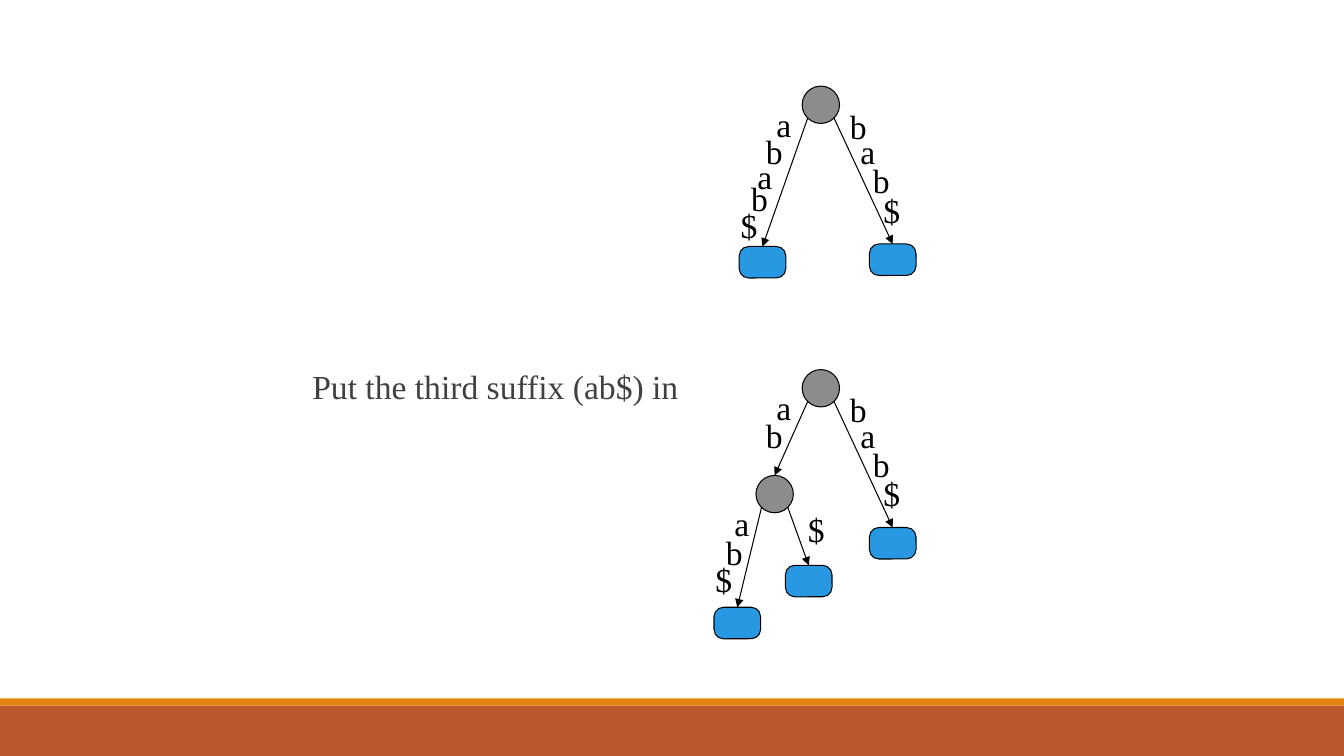
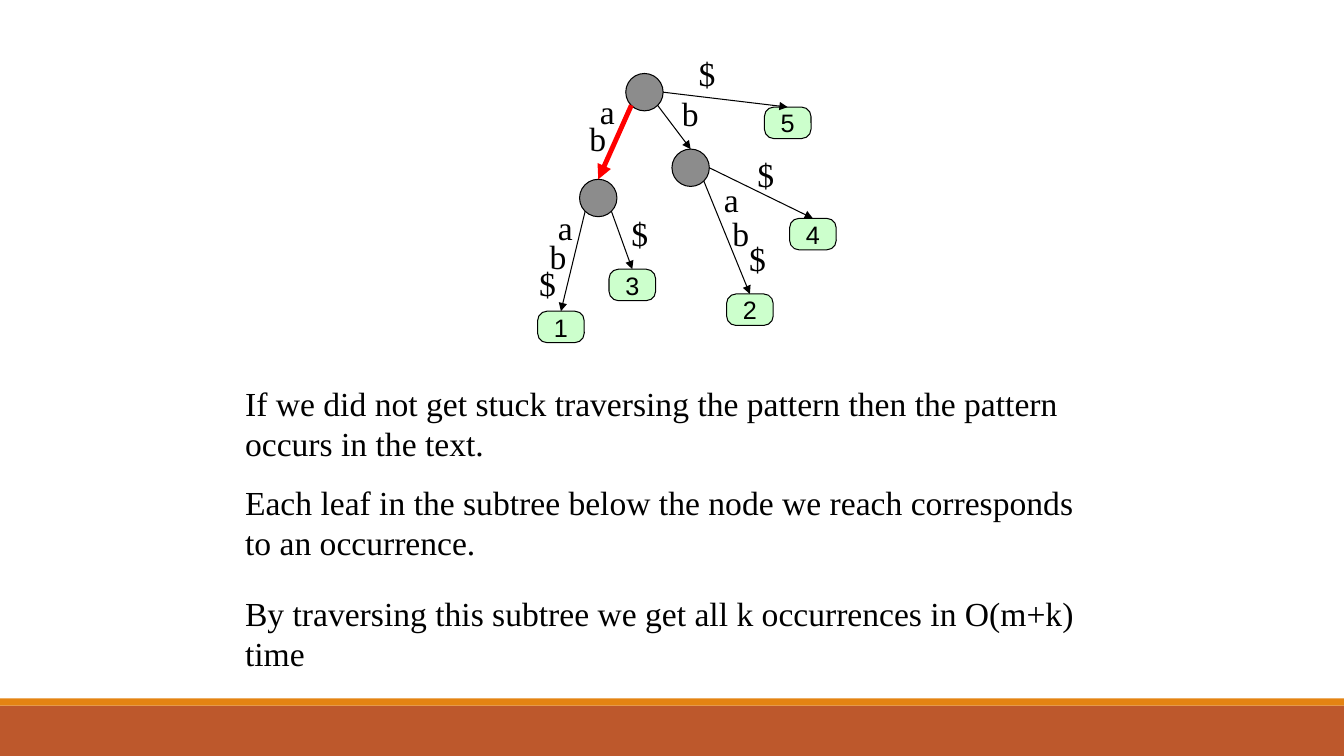
from dataclasses import dataclass

from lxml import etree
from pptx import Presentation
from pptx.dml.color import RGBColor
from pptx.enum.shapes import MSO_CONNECTOR, MSO_SHAPE
from pptx.enum.text import MSO_ANCHOR, PP_ALIGN
from pptx.oxml.ns import qn
from pptx.util import Inches, Pt

RECT, OVAL, ROUND = MSO_SHAPE.RECTANGLE, MSO_SHAPE.OVAL, MSO_SHAPE.ROUNDED_RECTANGLE
STRAIGHT = MSO_CONNECTOR.STRAIGHT
CENTER, MIDDLE = PP_ALIGN.CENTER, MSO_ANCHOR.MIDDLE

COLS, ROWS = 160, 90
NODE = 4.45
LEAF_W, LEAF_H = 5.55, 3.75
LETTER_W, LETTER_H = 5, 6
EXITS = {"left": (0.15, 0.85), "right": (0.85, 0.85), "side": (1, 0.5)}

BLACK, GREY, NODE_GREY = "000000", "404040", "8C8C8C"
BLUE, GREEN, RED = "2998E3", "CCFFCC", "FF0000"
BAND, STRIPE = "BD582C", "E48312"
SERIF, SANS = "Times New Roman", "Arial"


@dataclass
class Branch:
    """An edge with its letters and the node or leaf it leads to, measured from the root."""
    at: tuple
    leaves_by: str
    letters: list
    label: str = ""
    kids: tuple = ()
    color: str = BLACK
    width: float = 0.75


def grid(*cells):
    """Turn grid cells of a twelfth of an inch into lengths."""
    return [Inches(c / 12) for c in cells]


def rgb(color):
    """Turn a hex string into a colour."""
    return RGBColor.from_string(color)


def add_run(p, text, size, font, color):
    """Add one styled run to a paragraph."""
    r = p.add_run()
    r.text = text
    r.font.size, r.font.name = Pt(size), font
    r.font.color.rgb = rgb(color)


def add_text(s, text, x, y, w, h, color=BLACK):
    """Add a wrapped serif text box."""
    tf = s.shapes.add_textbox(*grid(x, y, w, h)).text_frame
    tf.word_wrap = True
    p = tf.paragraphs[0]
    p.line_spacing = Pt(28.8)
    add_run(p, text, 24, SERIF, color)


def add_box(s, kind, x, y, w, h, fill, line=None):
    """Add a flat filled shape, outlined if a line colour is given."""
    sp = s.shapes.add_shape(kind, *grid(x, y, w, h))
    sp.shadow.inherit = False
    sp.fill.solid()
    sp.fill.fore_color.rgb = rgb(fill)
    if line:
        sp.line.color.rgb = rgb(line)
        sp.line.width = Pt(0.75)
    else:
        sp.line.fill.background()
    return sp


def add_leaf(s, x, y, fill, label):
    """Add a rounded leaf with an optional number."""
    sp = add_box(s, ROUND, x, y, LEAF_W, LEAF_H, fill, BLACK)
    sp.adjustments[0] = 0.3
    if label:
        tf = sp.text_frame
        tf.word_wrap, tf.vertical_anchor = False, MIDDLE
        p = tf.paragraphs[0]
        p.alignment = CENTER
        add_run(p, label, 18, SANS, BLACK)
    return sp


def add_arrow(s, x, y, target, color, width):
    """Add an arrow from a point to the top of a shape."""
    start = grid(x, y)
    cxn = s.shapes.add_connector(STRAIGHT, *start, *start)
    cxn.end_connect(target, 0)
    cxn.line.color.rgb = rgb(color)
    cxn.line.width = Pt(width)
    etree.SubElement(cxn.line._get_or_add_ln(), qn("a:tailEnd"), type="triangle")
    etree.SubElement(cxn._element.spPr, qn("a:effectLst"))


def add_branches(s, root, parent, branches, leaf_fill):
    """Draw the branches below a parent node, level by level."""
    rx, ry = root
    for b in branches:
        x, y = rx + b.at[0], ry + b.at[1]
        if b.kids:
            target = add_box(s, OVAL, x, y, NODE, NODE, NODE_GREY, BLACK)
        else:
            target = add_leaf(s, x, y, leaf_fill, b.label)
        fx, fy = EXITS[b.leaves_by]
        add_arrow(s, parent[0] + fx * NODE, parent[1] + fy * NODE, target, b.color, b.width)
        for letter, dx, dy in b.letters:
            add_text(s, letter, rx + dx, ry + dy, LETTER_W, LETTER_H)
        add_branches(s, root, (x, y), b.kids, leaf_fill)


def add_tree(s, root, branches, leaf_fill):
    """Draw a suffix tree from its root node."""
    add_box(s, OVAL, *root, NODE, NODE, NODE_GREY, BLACK)
    add_branches(s, root, root, branches, leaf_fill)


def ab_branch(first="", third="", color=BLACK, width=0.75):
    """Return the branch ab, which splits into ab$ and $."""
    kids = (
        Branch((-10.5, 28.3), "left",
               [("a", -9.25, 15.25), ("b", -10.25, 18.75), ("$", -11.5, 22)], first),
        Branch((-2, 23.3), "right", [("$", -0.5, 16)], third),
    )
    return Branch((-5.5, 12.6), "left", [("a", -4.25, 1.5), ("b", -5.5, 4.75)],
                  kids=kids, color=color, width=width)


def b_branch():
    """Return the branch b, which splits into ab$ and $."""
    kids = (
        Branch((12, 26.25), "right",
               [("a", 10.5, 12), ("b", 11.5, 16), ("$", 13.5, 19)], "2"),
        Branch((19.5, 17.25), "side", [("$", 14.5, 9)], "4"),
    )
    return Branch((5.5, 9), "right", [("b", 5.5, 1.75)], kids=kids)


def add_slide(prs):
    """Add a blank slide with the footer bands."""
    s = prs.slides.add_slide(prs.slide_layouts[6])
    add_box(s, RECT, 0, 84, COLS, 6, BAND)
    add_box(s, RECT, 0, 83.15, COLS, 0.85, STRIPE)
    return s


def build_insertion(prs):
    """Show the tree before and after the third suffix goes in."""
    s = add_slide(prs)
    add_text(s, "Put the third suffix (ab$) in", 36, 43, 46, 6, GREY)
    abab = Branch((-7.5, 19.1), "left",
                  [("a", -4.25, 1.5), ("b", -5.5, 4.75), ("a", -6.5, 7.75),
                   ("b", -7.25, 10.4), ("$", -8.5, 13.5)])
    bab = Branch((8, 18.8), "right",
                 [("b", 4.5, 1.75), ("a", 5.75, 4.75), ("b", 7.25, 8.25), ("$", 8.5, 11.75)])
    add_tree(s, (95.5, 10.25), (abab, bab), BLUE)
    add_tree(s, (95.5, 44), (ab_branch(), bab), BLUE)


def build_search(prs):
    """Show the path of a pattern and explain the search time."""
    s = add_slide(prs)
    end = Branch((16.5, 4), "side", [("$", 7.5, -3)], "5")
    add_tree(s, (74.5, 8.75), (ab_branch("1", "3", RED, 3.5), b_branch(), end), GREEN)
    notes = [
        (45, "If we did not get stuck traversing the pattern then the pattern "
             "occurs in the text."),
        (56.75, "Each leaf in the subtree below the node we reach corresponds "
                "to an occurrence."),
        (70, "By traversing this subtree we get all k occurrences in O(m+k) time"),
    ]
    for row, text in notes:
        add_text(s, text, 28, row, 102, 10.8)


def main():
    """Build and save the presentation."""
    prs = Presentation()
    prs.slide_width, prs.slide_height = grid(COLS, ROWS)
    build_insertion(prs)
    build_search(prs)
    prs.save("out.pptx")


if __name__ == "__main__":
    main()
